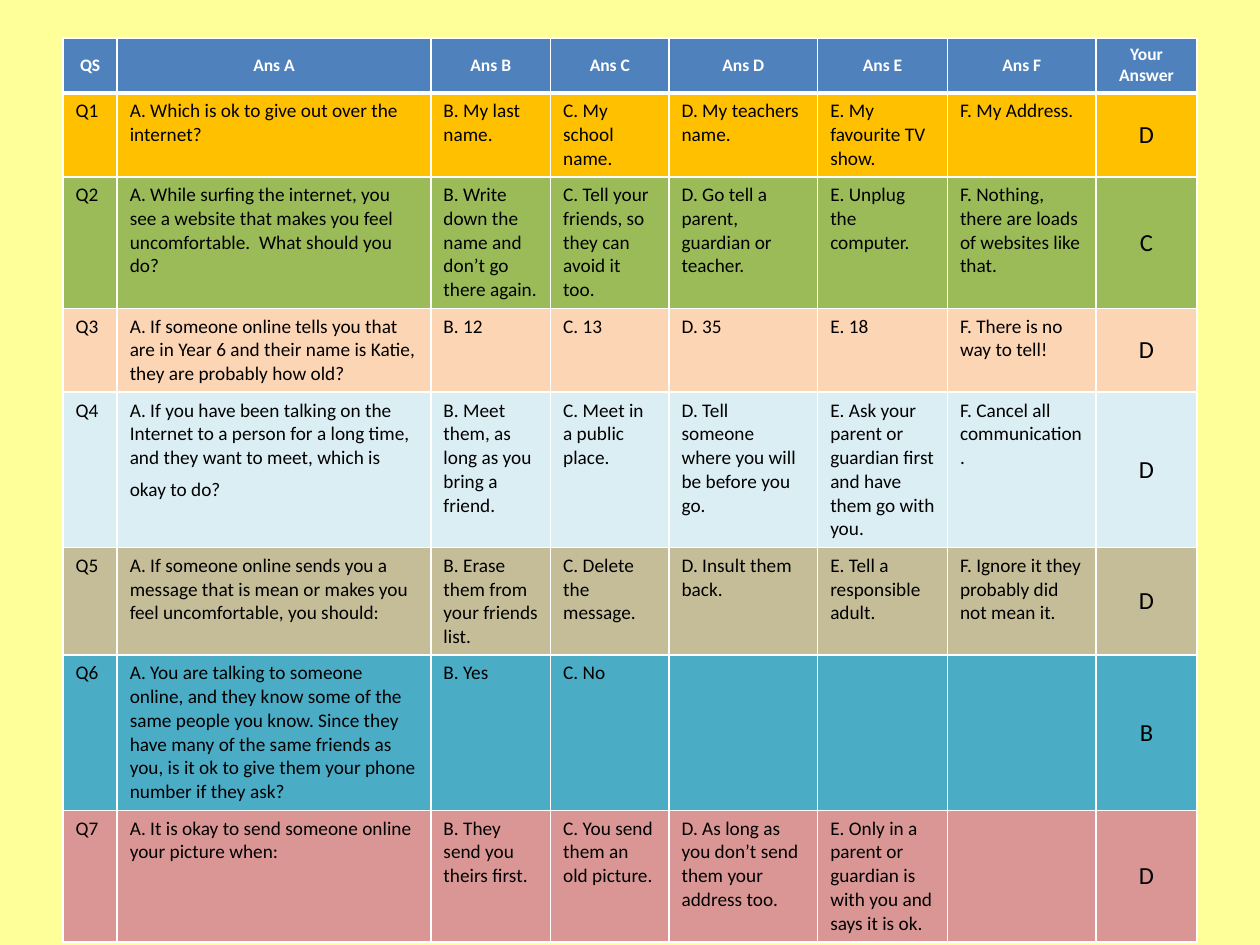
from lxml import etree
from pptx import Presentation
from pptx.dml.color import RGBColor
from pptx.enum.text import MSO_ANCHOR, PP_ALIGN
from pptx.oxml.ns import qn
from pptx.util import Inches, Pt

CENTER, LEFT = PP_ALIGN.CENTER, PP_ALIGN.LEFT
MIDDLE, TOP = MSO_ANCHOR.MIDDLE, MSO_ANCHOR.TOP

THEME = {
    "font": "Calibri",
    "background": "FFFF99",
    "header_fill": "4F81BD",
    "header_text": "FFFFFF",
    "text": "000000",
    "border": "FFFFFF",
    "row_fills": ["FFC000", "9BBB59", "FCD5B5", "DBEEF4", "C4BD97", "4BACC6", "D99694"],
    "header_size": 10,
    "body_size": 11,
    "answer_size": 14,
    "spacer_size": 16,
    "border_width": 1,
    "header_rule_width": 3,
}

HEADERS = ["QS", "Ans A", "Ans B", "Ans C", "Ans D", "Ans E", "Ans F", "Your Answer"]
COLUMN_WIDTHS = [0.43, 2.49, 0.95, 0.94, 1.18, 1.03, 1.18, 0.8]
ROW_HEIGHT = 0.41

# Each question: options A to F, then the chosen answer
QUESTIONS = [
    ["A. Which is ok to give out over the internet?", "B. My last name.",
     "C. My school name.", "D. My teachers name.", "E. My favourite TV show.",
     "F. My Address.", "D"],
    ["A. While surfing the internet, you see a website that makes you feel "
     "uncomfortable.  What should you do?",
     "B. Write down the name and don’t go there again.",
     "C. Tell your friends, so they can avoid it too.",
     "D. Go tell a parent, guardian or teacher.", "E. Unplug the computer.",
     "F. Nothing, there are loads of websites like that.", "C"],
    ["A. If someone online tells you that are in Year 6 and their name is Katie, "
     "they are probably how old?",
     "B. 12", "C. 13", "D. 35", "E. 18", "F. There is no way to tell!", "D"],
    ["A. If you have been talking on the Internet to a person for a long time, "
     "and they want to meet, which is okay to do? ",
     "B. Meet them, as long as you bring a friend.", "C. Meet in a public place.",
     "D. Tell someone where you will be before you go.",
     "E. Ask your parent or guardian first and have them go with you.",
     "F. Cancel all communication.", "D"],
    ["A. If someone online sends you a message that is mean or makes you feel "
     "uncomfortable, you should: \u00a0",
     "B. Erase them from your friends list.", "C. Delete the message.",
     "D. Insult them back.", "E. Tell a responsible adult.",
     "F. Ignore it they probably did not mean it.", "D"],
    ["A. You are talking to someone online, and they know some of the same people "
     "you know. Since they have many of the same friends as you, is it ok to give "
     "them your phone number if they ask? ",
     "B. Yes", "C. No", "", "", "", "B"],
    ["A. It is okay to send someone online your picture when:",
     "B. They send you theirs first.", "C. You send them an old picture.",
     "D. As long as you don’t send them your address too.",
     "E. Only in a parent or guardian is with you and says it is ok.", "", "D"],
]


def add_run(paragraph, text, size, color, bold=False):
    run = paragraph.add_run()
    run.text = text
    run.font.name = THEME["font"]
    run.font.size = Pt(size)
    run.font.bold = bold
    run.font.color.rgb = RGBColor.from_string(color)


def add_borders(cell, top, bottom):
    properties = cell._tc.get_or_add_tcPr()
    widths = {"a:lnL": THEME["border_width"], "a:lnR": THEME["border_width"],
              "a:lnT": top, "a:lnB": bottom}
    for tag, width in widths.items():
        line = etree.SubElement(properties, qn(tag), w=str(Pt(width)))
        fill = etree.SubElement(line, qn("a:solidFill"))
        etree.SubElement(fill, qn("a:srgbClr"), val=THEME["border"])


# Slide and background
presentation = Presentation()
presentation.slide_width, presentation.slide_height = Inches(10), Inches(7.5)
slide = presentation.slides.add_slide(presentation.slide_layouts[6])
slide.background.fill.solid()
slide.background.fill.fore_color.rgb = RGBColor.from_string(THEME["background"])

# Quiz table
rows = [HEADERS] + [[f"Q{number}"] + options for number, options in enumerate(QUESTIONS, 1)]
fills = [THEME["header_fill"]] + THEME["row_fills"]
table = slide.shapes.add_table(
    len(rows), len(HEADERS), Inches(0.5), Inches(0.3),
    Inches(sum(COLUMN_WIDTHS)), Inches(ROW_HEIGHT * len(rows))).table
for column, width in zip(table.columns, COLUMN_WIDTHS):
    column.width = Inches(width)

# Cells
thin, thick = THEME["border_width"], THEME["header_rule_width"]
for row_index, (texts, fill) in enumerate(zip(rows, fills)):
    is_header = row_index == 0
    for column_index, text in enumerate(texts):
        is_answer = column_index == len(HEADERS) - 1
        cell = table.cell(row_index, column_index)
        add_borders(cell, thick if row_index == 1 else thin, thick if is_header else thin)
        cell.fill.solid()
        cell.fill.fore_color.rgb = RGBColor.from_string(fill)
        cell.vertical_anchor = MIDDLE if is_header or is_answer else TOP
        if not text:
            continue
        paragraph = cell.text_frame.paragraphs[0]
        paragraph.alignment = CENTER if is_header or is_answer else LEFT
        if is_header:
            add_run(paragraph, text, THEME["header_size"], THEME["header_text"], True)
        else:
            size = THEME["answer_size"] if is_answer else THEME["body_size"]
            add_run(paragraph, text, size, THEME["text"])

# Taller last line in the fourth question
add_run(table.cell(4, 1).text_frame.paragraphs[0], "\u00a0",
        THEME["spacer_size"], THEME["text"])

presentation.save("out.pptx")
